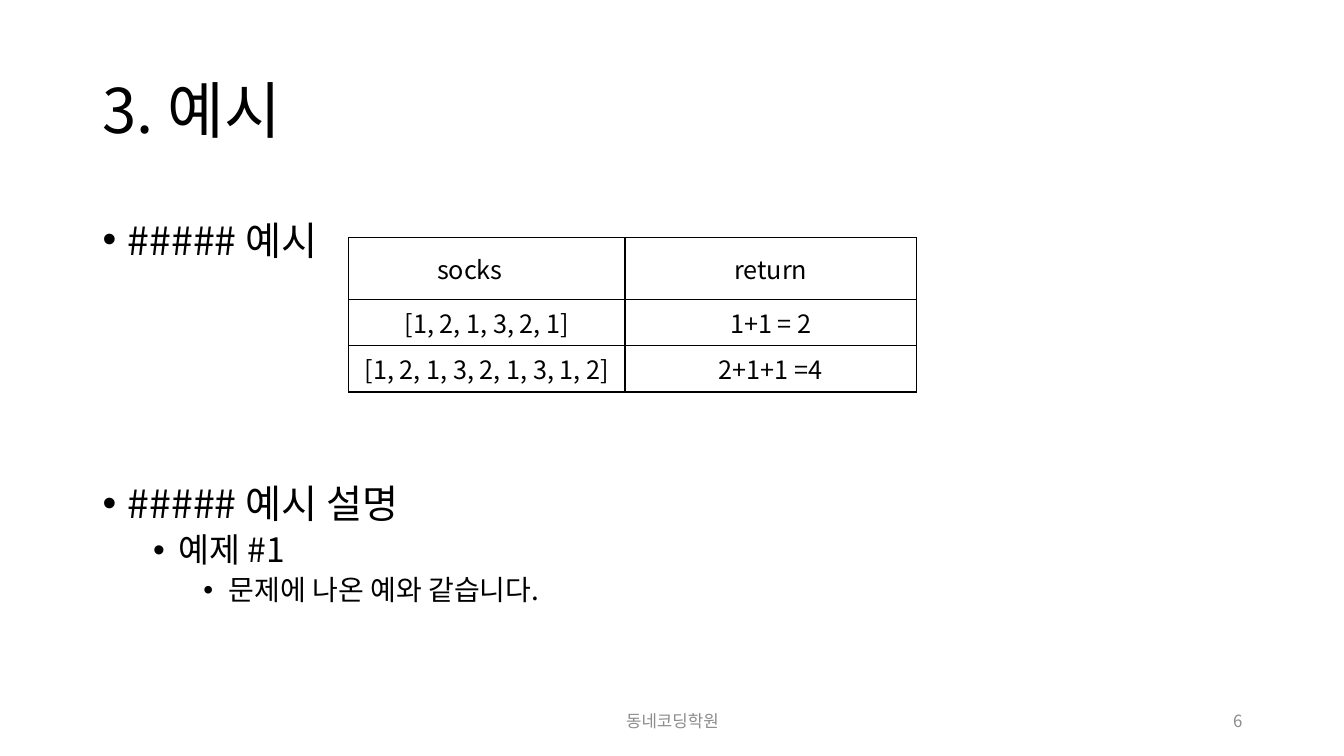
from pptx import Presentation
from pptx.dml.color import RGBColor
from pptx.enum.text import MSO_ANCHOR, PP_ALIGN
from pptx.oxml.ns import qn
from pptx.util import Inches, Pt
from lxml.etree import SubElement

FONT = "Noto Sans CJK KR"
BLACK = RGBColor(0x00, 0x00, 0x00)
GRAY = RGBColor(0x8C, 0x8C, 0x8C)

prs = Presentation()
prs.slide_width, prs.slide_height = Inches(13.33), Inches(7.5)
s = prs.slides.add_slide(prs.slide_layouts[6])


def add_run(p, text, size, color=BLACK):
    r = p.add_run()
    r.text = text
    r.font.size = Pt(size)
    r.font.name = FONT
    r.font.color.rgb = color
    SubElement(r.font._element, qn("a:ea"), typeface=FONT)


def add_box(left, top, width, height, anchor):
    tf = s.shapes.add_textbox(Inches(left), Inches(top), Inches(width), Inches(height)).text_frame
    tf.word_wrap = True
    tf.vertical_anchor = anchor
    return tf


p = add_box(0.92, 0.4, 11.5, 1.45, MSO_ANCHOR.MIDDLE).paragraphs[0]
p.line_spacing = 0.9
add_run(p, "3. 예시", 44)

outline = [
    ("##### 예시", 0, 28, 1.2, 10),
    ("##### 예시 설명", 0, 28, 0.9, 158),
    ("예제 #1", 1, 24, 0.9, 5),
    ("문제에 나온 예와 같습니다.", 2, 20, 0.9, 5),
]
tf = add_box(0.92, 2, 11.5, 5.1, MSO_ANCHOR.TOP)
for i, (text, level, size, spacing, before) in enumerate(outline):
    p = tf.add_paragraph() if i else tf.paragraphs[0]
    p.level = level
    p.line_spacing = spacing
    p.space_before = Pt(before)
    pPr = p._p.get_or_add_pPr()
    pPr.set("marL", str(Inches(0.25 + 0.5 * level)))
    pPr.set("indent", str(Inches(-0.25)))
    SubElement(pPr, qn("a:buFont"), typeface="Arial")
    SubElement(pPr, qn("a:buChar"), char="•")
    add_run(p, text, size)

rows = [
    ("socks", "return"),
    ("[1, 2, 1, 3, 2, 1]", "1+1 = 2"),
    ("[1, 2, 1, 3, 2, 1, 3, 1, 2]", "2+1+1 =4"),
]
table = s.shapes.add_table(3, 2, Inches(3.46), Inches(2.36), Inches(5.64), Inches(1.41)).table
table.first_row = table.horz_banding = False
for col, width in zip(table.columns, (2.74, 2.89)):
    col.width = Inches(width)
for row, height, texts in zip(table.rows, (0.61, 0.46, 0.46), rows):
    row.height = Inches(height)
    for cell, text in zip(row.cells, texts):
        cell.vertical_anchor = MSO_ANCHOR.MIDDLE
        p = cell.text_frame.paragraphs[0]
        p.alignment = PP_ALIGN.CENTER
        add_run(p, text, 18)
        tcPr = cell._tc.get_or_add_tcPr()
        for edge in ("a:lnL", "a:lnR", "a:lnT", "a:lnB"):
            ln = SubElement(tcPr, qn(edge), w=str(Pt(1)))
            SubElement(SubElement(ln, qn("a:solidFill")), qn("a:srgbClr"), val=str(BLACK))
        cell.fill.background()
table.cell(0, 0).margin_right = Inches(0.44)

footers = [
    (4.42, 4.5, PP_ALIGN.CENTER, "동네코딩학원"),
    (9.42, 3, PP_ALIGN.RIGHT, "6"),
]
for left, width, align, text in footers:
    p = add_box(left, 6.95, width, 0.4, MSO_ANCHOR.MIDDLE).paragraphs[0]
    p.alignment = align
    add_run(p, text, 12, GRAY)

prs.save("out.pptx")
